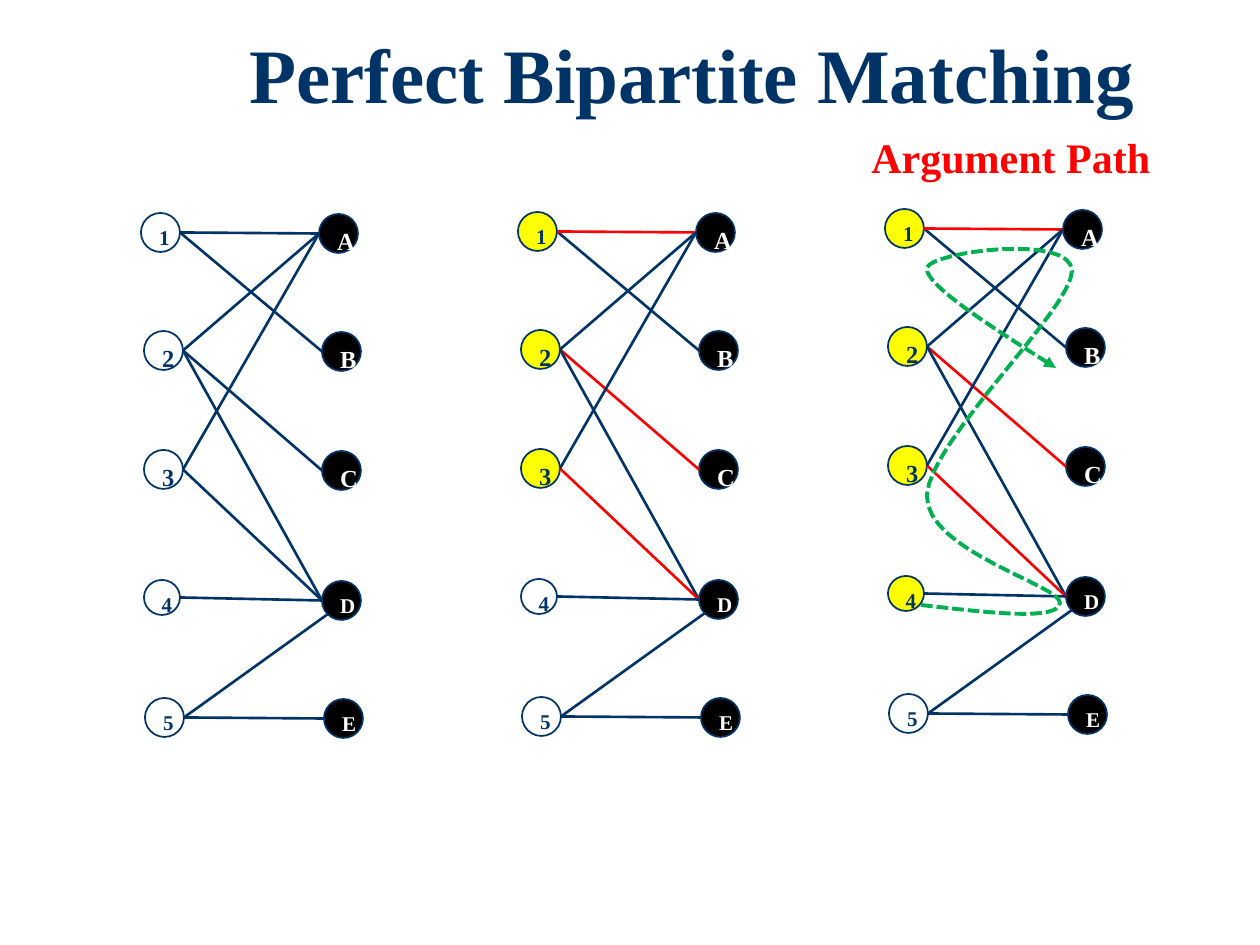
from lxml import etree
from pptx import Presentation
from pptx.dml.color import RGBColor
from pptx.enum.dml import MSO_LINE
from pptx.enum.shapes import MSO_CONNECTOR, MSO_SHAPE
from pptx.enum.text import MSO_ANCHOR, MSO_AUTO_SIZE, PP_ALIGN
from pptx.oxml.ns import qn
from pptx.util import Emu, Pt

STRAIGHT = MSO_CONNECTOR.STRAIGHT
OVAL = MSO_SHAPE.OVAL
TOP, MIDDLE = MSO_ANCHOR.TOP, MSO_ANCHOR.MIDDLE
LEFT, CENTER = PP_ALIGN.LEFT, PP_ALIGN.CENTER
GROW = MSO_AUTO_SIZE.SHAPE_TO_FIT_TEXT
DASH = MSO_LINE.SQUARE_DOT

SCALE = 914400 / 126
FONT = "Times New Roman"
COLORS = {"navy": "003366", "red": "FF0000", "green": "00B050",
          "yellow": "FFFF00", "white": "FFFFFF", "black": "000000"}

NODES = {
    "1": (0, 0, 39, 39, 12), "A": (178, 1, 39, 39, 14),
    "2": (3, 118, 39, 39, 14), "B": (181, 119, 39, 39, 14),
    "3": (3, 237, 39, 39, 14), "C": (181, 238, 39, 39, 14),
    "4": (3, 367, 36, 35, 12), "D": (181, 368, 39, 39, 12),
    "5": (4, 485, 39, 39, 12), "E": (183, 486, 39, 39, 12),
}
EDGES = ["1B", "2C", "2D", "3D", "3A", "4D", "5D", "5E", "1A", "2A"]
GRAPHS = [
    {"origin": (141, 213), "reached": "", "matched": []},
    {"origin": (518, 212), "reached": "123", "matched": ["1A", "2C", "3D"]},
    {"origin": (885, 209), "reached": "1234", "matched": ["1A", "2C", "3D"]},
]
ROUTE_START = (36, 396)
ROUTE = [
    [(106, 404), (173, 412), (175, 394)],
    [(176, 376), (40, 342), (42, 286)],
    [(45, 231), (187, 100), (187, 62)],
    [(187, 24), (45, 43), (42, 59)],
    [(40, 76), (105, 117), (171, 159)],
]


def px(n):
    return Emu(round(n * SCALE))


def rgb(name):
    return RGBColor.from_string(COLORS[name])


def write(sp, text, size, color, align=LEFT, spacing=None, **frame):
    tf = sp.text_frame
    for name, value in frame.items():
        setattr(tf, name, value)
    p = tf.paragraphs[0]
    p.alignment = align
    p.line_spacing = spacing
    r = p.add_run()
    r.text = text
    for name, value in {"name": FONT, "size": Pt(size), "bold": True}.items():
        setattr(r.font, name, value)
    r.font.color.rgb = rgb(color)


def add_text(s, box, text, size, color, **layout):
    write(s.shapes.add_textbox(*map(px, box)), text, size, color, **layout)


def add_node(s, x, y, label, fill):
    left, top, width, height, size = NODES[label]
    sp = s.shapes.add_shape(OVAL, px(x + left), px(y + top), px(width), px(height))
    sp.shadow.inherit = False
    sp.fill.solid()
    sp.fill.fore_color.rgb = rgb(fill)
    sp.line.color.rgb = rgb("navy")
    sp.line.width = Pt(1)
    write(sp, label, size, "white" if fill == "black" else "navy",
          word_wrap=False, vertical_anchor=TOP)


def add_edge(s, x, y, edge, color):
    start, end = (NODES[label] for label in edge)
    x1, y1 = start[0] + start[2], start[1] + start[3] / 2
    x2, y2 = end[0], end[1] + end[3] / 2
    if edge == "5D":
        x2, y2 = end[0] + 6, end[1] + 33
    line = s.shapes.add_connector(STRAIGHT, px(x + x1), px(y + y1), px(x + x2), px(y + y2))
    line.line.color.rgb = rgb(color)
    line.line.width = Pt(1.5)
    etree.SubElement(line._element.spPr, qn("a:effectLst"))


def add_graph(s, origin, reached, matched):
    for label in NODES:
        fill = "black" if label.isalpha() else "yellow" if label in reached else "white"
        add_node(s, *origin, label, fill)
    for edge in EDGES:
        add_edge(s, *origin, edge, "red" if edge in matched else "navy")


def curve_points(start, curves, steps=16):
    for a, b, end in curves:
        for i in range(1, steps + 1):
            t = i / steps
            u = 1 - t
            yield tuple(u**3 * p0 + 3 * u * u * t * p1 + 3 * u * t * t * p2 + t**3 * p3
                        for p0, p1, p2, p3 in zip(start, a, b, end))
        start = end


def add_route(s, x, y):
    start_x, start_y = ROUTE_START
    builder = s.shapes.build_freeform(px(x + start_x), px(y + start_y))
    points = [(px(x + dx), px(y + dy)) for dx, dy in curve_points(ROUTE_START, ROUTE)]
    builder.add_line_segments(points, close=False)
    sp = builder.convert_to_shape()
    sp.shadow.inherit = False
    sp.fill.background()
    sp.line.color.rgb = rgb("green")
    sp.line.width = Pt(2.25)
    sp.line.dash_style = DASH
    etree.SubElement(sp.line._get_or_add_ln(), qn("a:tailEnd"), type="triangle")


def main():
    prs = Presentation()
    prs.slide_width, prs.slide_height = px(1260), px(945)
    s = prs.slides.add_slide(prs.slide_layouts[6])
    add_text(s, (198, 26, 1008, 116), "Perfect Bipartite Matching ", 44, "navy",
             align=CENTER, spacing=0.9, word_wrap=True, vertical_anchor=MIDDLE,
             margin_bottom=px(16))
    for graph in GRAPHS:
        add_graph(s, **graph)
    add_route(s, *GRAPHS[-1]["origin"])
    add_text(s, (859, 125, 307, 63), "Argument Path", 24, "red",
             word_wrap=False, auto_size=GROW)
    prs.save("out.pptx")


if __name__ == "__main__":
    main()
